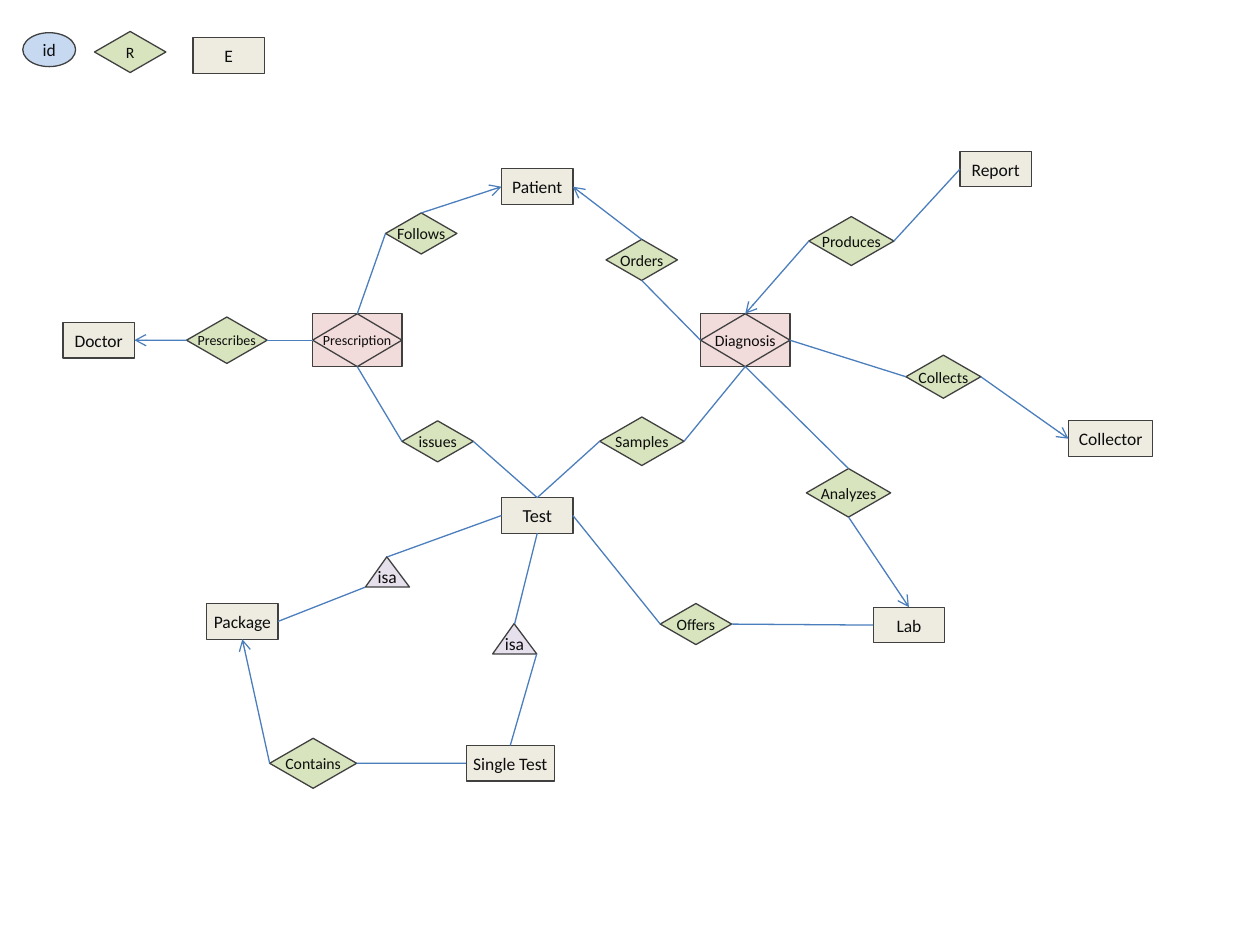
import pptx
import pptx.util
import pptx.dml.color
import pptx.enum.shapes
import pptx.enum.text
import pptx.oxml
import pptx.oxml.ns

Pt = pptx.util.Pt
SHAPE = pptx.enum.shapes.MSO_SHAPE
COLORS = {
    "entity": "EEECE1", "relation": "D7E4BD", "aggregate": "F2DCDB",
    "subtype": "E6E0EC", "attribute": "C6D9F1",
    "outline": "404040", "link": "4B7EBC", "text": "0D0D0D",
}
ENTITY_SIZE = (40.8, 20.4)
AGGREGATE_SIZE = (51.1, 30.2)
SUBTYPE_SIZE = (25.2, 17.3)
DIAMOND_RATIO = 0.575
SITES = {"top": 0, "left": 1, "bottom": 2, "right": 3}

ENTITIES = [
    ("E", 110.2, 21.6, {}),
    ("Doctor", 36, 184.2, {}),
    ("Test", 286.6, 284.4, {"size": 10.5}),
    ("Patient", 286.6, 96.5, {}),
    ("Lab", 499, 347, {}),
    ("Collector", 610.6, 240.5, {"width": 48.2}),
    ("Report", 548.6, 86.4, {}),
    ("Single Test", 266.4, 426, {"width": 50.4}),
    ("Package", 118.1, 344.9, {}),
]
RELATIONS = [
    ("R", 54, 18, {}),
    ("Follows", 220.3, 121.7, {}),
    ("Prescribes", 106.6, 181.15, {"width": 46.1, "size": 8}),
    ("issues", 229.7, 240.5, {}),
    ("Analyzes", 460.8, 267.8, {"width": 48.2}),
    ("Collects", 517.7, 203, {"width": 42.8}),
    ("Samples", 342.7, 238.3, {"width": 48.2}),
    ("Orders", 346.3, 136.8, {}),
    ("Produces", 462.2, 123.8, {"width": 48.6}),
    ("Offers", 377.3, 344.9, {}),
    ("Contains", 154.1, 421.9, {"width": 49.7}),
]
AGGREGATES = [("Diagnosis", 400.3, 179.3, 9), ("Prescription", 178.6, 179.3, 8)]
SUBTYPES = [("Package isa", 208.8, 318.2), ("Single isa", 281.5, 356.4)]
LINES = [
    ("Test", "left", "Package isa", "top"),
    ("Package isa", "bottom left", "Package", "right"),
    ("Test", "bottom", "Single isa", "top"),
    ("Single isa", "bottom right", "Single Test", "top"),
    ("Single Test", "left", "Contains", "right"),
    ("Prescription", "left", "Prescribes", "right"),
    ("Follows", "left", "Prescription", "top"),
    ("Test", "top", "issues", "right"),
    ("issues", "left", "Prescription", "bottom"),
    ("Orders", "bottom", "Diagnosis", "left"),
    ("Samples", "right", "Diagnosis", "bottom"),
    ("Test", "right", "Offers", "left"),
    ("Offers", "right", "Lab", "left"),
    ("Analyzes", "top", "Diagnosis", "bottom"),
    ("Collects", "left", "Diagnosis", "right"),
    ("Samples", "left", "Test", "top"),
    ("Produces", "right", "Report", "left"),
]
ARROWS = [
    ("Orders", "top", "Patient", "right"),
    ("Collects", "right", "Collector", "left"),
    ("Analyzes", "bottom", "Lab", "top"),
    ("Follows", "top", "Patient", "left"),
    ("Prescribes", "left", "Doctor", "right"),
    ("Produces", "left", "Diagnosis", "top"),
    ("Contains", "left", "Package", "bottom"),
]


def rgb(name):
    return pptx.dml.color.RGBColor.from_string(COLORS[name])


def write_text(shape, text, size=10, color="text", font="Calibri", insets=(7.2, 3.6, 7.2, 3.6)):
    frame = shape.text_frame
    frame.word_wrap = False
    frame.vertical_anchor = pptx.enum.text.MSO_ANCHOR.MIDDLE
    frame.margin_left, frame.margin_top, frame.margin_right, frame.margin_bottom = map(Pt, insets)
    para = frame.paragraphs[0]
    para.alignment = pptx.enum.text.PP_ALIGN.CENTER
    span = para.add_run()
    span.text = text
    span.font.size = Pt(size)
    span.font.name = font
    span.font.color.rgb = rgb(color)


def add_node(shapes, kind, left, top, width, height, color):
    node = shapes.add_shape(kind, Pt(left), Pt(top), Pt(width), Pt(height))
    node.shadow.inherit = False
    node.fill.solid()
    node.fill.fore_color.rgb = rgb(color)
    node.line.color.rgb = rgb("outline")
    node.line.width = Pt(0.75)
    return node


def add_entity(shapes, text, left, top, width=ENTITY_SIZE[0], size=10):
    node = add_node(shapes, SHAPE.RECTANGLE, left, top, width, ENTITY_SIZE[1], "entity")
    write_text(node, text, size=size)
    return node


def add_relation(shapes, text, left, top, width=ENTITY_SIZE[0], size=9):
    node = add_node(shapes, SHAPE.DIAMOND, left, top, width, width * DIAMOND_RATIO, "relation")
    write_text(node, text, size=size)
    return node


def add_aggregate(shapes, text, left, top, size):
    group = shapes.add_group_shape()
    for kind in (SHAPE.RECTANGLE, SHAPE.DIAMOND):
        node = add_node(group.shapes, kind, left, top, *AGGREGATE_SIZE, "aggregate")
    write_text(node, text, size=size, insets=(0, 0, 0, 0))
    return node


def add_subtype(shapes, left, top):
    node = add_node(shapes, SHAPE.ISOSCELES_TRIANGLE, left, top, *SUBTYPE_SIZE, "subtype")
    node.adjustments[0] = 0.487
    write_text(node, "isa", insets=(7.2, 3.6, 7.2, 7.2))
    return node


def anchor_point(node, side):
    x = node.left + node.width // 2
    y = node.top + node.height // 2
    if "left" in side:
        x = node.left
    if "right" in side:
        x = node.left + node.width
    if "top" in side:
        y = node.top
    if "bottom" in side:
        y = node.top + node.height
    return x, y


def add_link(shapes, start, start_side, end, end_side, arrow=False):
    link = shapes.add_connector(
        pptx.enum.shapes.MSO_CONNECTOR.STRAIGHT,
        *anchor_point(start, start_side), *anchor_point(end, end_side))
    if start_side in SITES:
        link.begin_connect(start, SITES[start_side])
    if end_side in SITES:
        link.end_connect(end, SITES[end_side])
    link.line.color.rgb = rgb("link")
    link.line.width = Pt(0.75)
    if arrow:
        tail = pptx.oxml.parse_xml(
            '<a:tailEnd %s type="arrow"/>' % pptx.oxml.ns.nsdecls("a"))
        link.line._get_or_add_ln().append(tail)
    link._element.spPr.append(
        pptx.oxml.parse_xml("<a:effectLst %s/>" % pptx.oxml.ns.nsdecls("a")))


def main():
    deck = pptx.Presentation()
    deck.slide_width, deck.slide_height = Pt(720), Pt(540)
    page = deck.slides.add_slide(deck.slide_layouts[6])
    shapes = page.shapes
    attribute = add_node(shapes, SHAPE.OVAL, 13, 18.7, 30.2, 19.4, "attribute")
    write_text(attribute, "id")
    nodes = {}
    for text, left, top, options in ENTITIES:
        nodes[text] = add_entity(shapes, text, left, top, **options)
    for text, left, top, options in RELATIONS:
        nodes[text] = add_relation(shapes, text, left, top, **options)
    for text, left, top, size in AGGREGATES:
        nodes[text] = add_aggregate(shapes, text, left, top, size)
    for name, left, top in SUBTYPES:
        nodes[name] = add_subtype(shapes, left, top)
    for links, arrow in ((LINES, False), (ARROWS, True)):
        for start, start_side, end, end_side in links:
            add_link(shapes, nodes[start], start_side, nodes[end], end_side, arrow=arrow)
    deck.save("out.pptx")


main()
